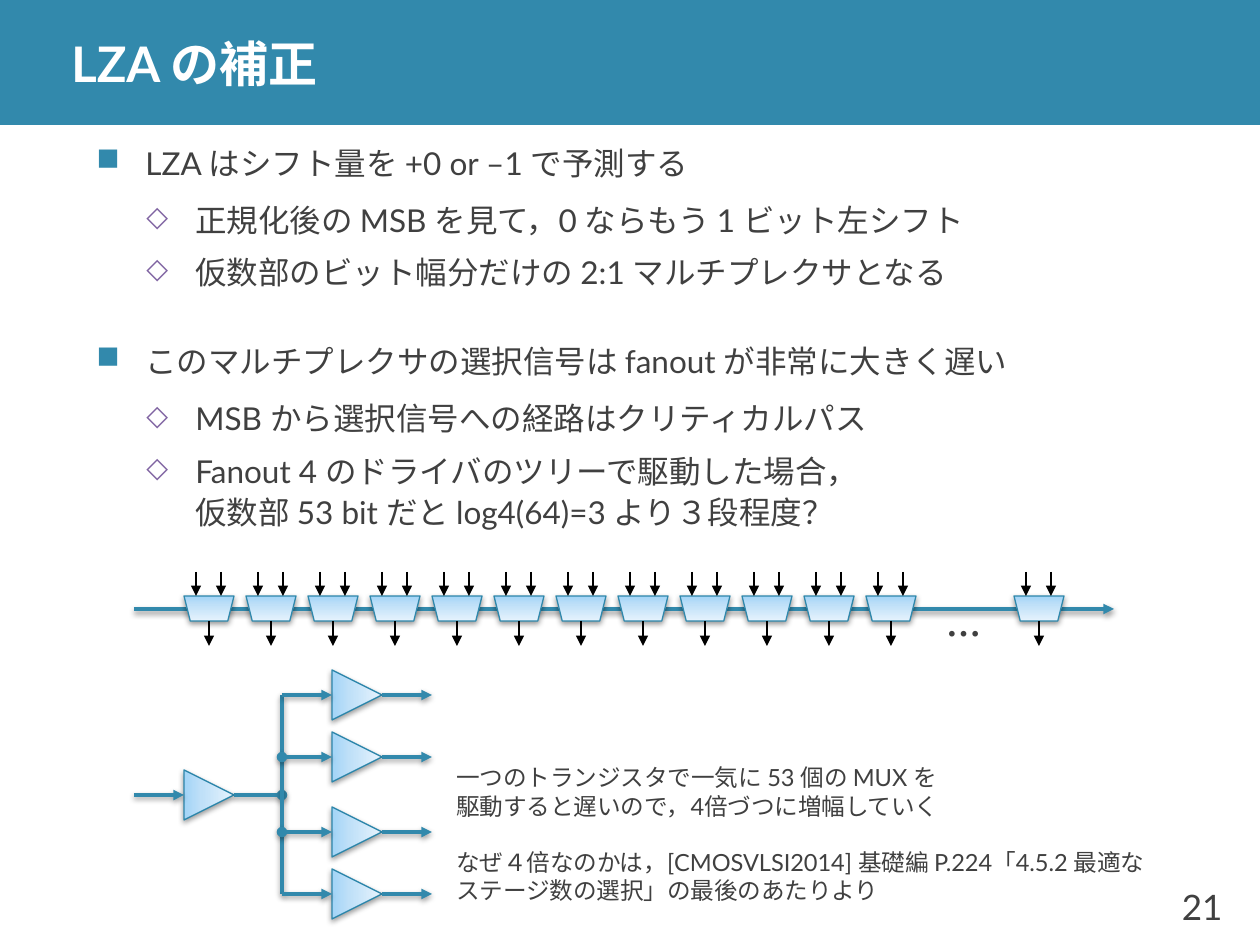
from dataclasses import dataclass

from lxml.etree import SubElement
from pptx import Presentation
from pptx.dml.color import RGBColor
from pptx.enum.shapes import MSO_CONNECTOR, MSO_SHAPE
from pptx.enum.text import MSO_ANCHOR, PP_ALIGN
from pptx.oxml.ns import qn
from pptx.shapes.base import BaseShape
from pptx.shapes.connector import Connector
from pptx.shapes.shapetree import GroupShapes, SlideShapes
from pptx.text.text import TextFrame
from pptx.util import Emu, Pt

Tree = SlideShapes | GroupShapes


@dataclass(frozen=True)
class Theme:
    main: str = "3289AC"
    edge: str = "2E87AB"
    ink: str = "404040"
    white: str = "FFFFFF"
    black: str = "000000"
    mark: str = "8064A2"
    fade: tuple = ((0, "A2D4F7"), (35, "BFE0F8"), (100, "E6F3FD"))
    latin: str = "Lato"
    asian: str = "Noto Sans CJK JP"
    title: float = 28
    page: float = 20
    body: float = 18
    note: float = 13.5
    thick: float = 2
    thin: float = 0.75


@dataclass(frozen=True)
class Box:
    x: int
    y: int
    w: int
    h: int


@dataclass(frozen=True)
class Wire:
    x1: int
    y1: int
    x2: int
    y2: int
    head: str = ""
    tail: str = ""


@dataclass(frozen=True)
class Level:
    mark: str
    color: str
    scale: int
    left: int
    before: float
    after: float


@dataclass(frozen=True)
class Item:
    level: int
    text: str


THEME = Theme()
LEVELS = (
    Level("■", THEME.main, 100, 49, 24, 6),
    Level("◇", THEME.mark, 90, 99, 3, 3),
)
ITEMS = (
    Item(0, "LZA はシフト量を +0 or –1 で予測する"),
    Item(1, "正規化後の MSB を見て，0 ならもう 1 ビット左シフト"),
    Item(1, "仮数部のビット幅分だけの 2:1 マルチプレクサとなる"),
    Item(0, "このマルチプレクサの選択信号は fanout が非常に大きく遅い"),
    Item(1, "MSB から選択信号への経路はクリティカルパス"),
    Item(1, "Fanout 4 のドライバのツリーで駆動した場合，\v"
            "仮数部 53 bit だと log4(64)=3 より３段程度？"),
)
NOTES = (
    "一つのトランジスタで一気に 53 個の MUX を\v"
    "駆動すると遅いので，4倍づつに増幅していく",
    "なぜ４倍なのかは，[CMOSVLSI2014] 基礎編 P.224"
    "「4.5.2 最適なステージ数の選択」の最後のあたりより",
)
MUXES = [184 + 62 * i for i in range(12)] + [1014]
ROWS = (695, 757, 832, 894)
ROOT = 795
TRUNK = 282
SIZE = 50


def px(n: int) -> Emu:
    return Emu(round(n * 914400 / 126))


def rgb(color: str) -> RGBColor:
    return RGBColor.from_string(color)


def shade(shape: BaseShape) -> None:
    props = shape._element.spPr
    for old in props.findall(qn("a:effectLst")):
        props.remove(old)
    cast = SubElement(
        SubElement(props, qn("a:effectLst")), qn("a:outerShdw"),
        blurRad="40000", dist="20000", dir="5400000", rotWithShape="0")
    tint = SubElement(cast, qn("a:srgbClr"), val=THEME.black)
    SubElement(tint, qn("a:alpha"), val="38000")


def gate(tree: Tree, kind: MSO_SHAPE, box: Box, turn: int) -> None:
    shape = tree.add_shape(kind, px(box.x), px(box.y), px(box.w), px(box.h))
    shape.rotation = turn
    shape.fill.gradient()
    shape.fill.gradient_angle = 90
    stops = shape._element.spPr.find(".//" + qn("a:gsLst"))
    stops.clear()
    for place, color in THEME.fade:
        stop = SubElement(stops, qn("a:gs"), pos=str(place * 1000))
        SubElement(stop, qn("a:srgbClr"), val=color)
    shape.line.color.rgb = rgb(THEME.edge)
    shape.line.width = Pt(THEME.thin)
    shade(shape)


def draw(tree: Tree, wire: Wire, color: str, width: float) -> Connector:
    line = tree.add_connector(
        MSO_CONNECTOR.STRAIGHT,
        px(wire.x1), px(wire.y1), px(wire.x2), px(wire.y2))
    line.line.color.rgb = rgb(color)
    line.line.width = Pt(width)
    props = line._element.spPr
    for tag, kind in (("a:headEnd", wire.head), ("a:tailEnd", wire.tail)):
        if kind:
            SubElement(props.find(qn("a:ln")), qn(tag), type=kind)
    SubElement(props, qn("a:effectLst"))
    return line


def bold_wire(tree: Tree, wire: Wire) -> None:
    shade(draw(tree, wire, THEME.main, THEME.thick))


def mux(tree: Tree, x: int) -> None:
    group = tree.add_group_shape().shapes
    gate(group, MSO_SHAPE.TRAPEZOID, Box(x, 596, SIZE, 25), 180)
    for dx, top, end in ((12, 572, 596), (37, 572, 596), (25, 621, 646)):
        wire = Wire(x + dx, top, x + dx, end, tail="triangle")
        draw(group, wire, THEME.black, THEME.thin)


def driver(tree: Tree, x: int, y: int) -> None:
    gate(tree, MSO_SHAPE.ISOSCELES_TRIANGLE,
         Box(x, y - SIZE // 2, SIZE, SIZE), 90)


def write(tree: Tree, box: Box, lines: list[str], size: float,
          color: str = THEME.ink, bold: bool = False,
          anchor: MSO_ANCHOR = MSO_ANCHOR.MIDDLE, wrap: bool = True,
          align: PP_ALIGN = PP_ALIGN.LEFT, latin: str = THEME.latin,
          levels: tuple[Level, ...] = ()) -> TextFrame:
    frame = tree.add_textbox(
        px(box.x), px(box.y), px(box.w), px(box.h)).text_frame
    frame.word_wrap = wrap
    frame.vertical_anchor = anchor
    for i, text in enumerate(lines):
        para = frame.add_paragraph() if i else frame.paragraphs[0]
        para.text = text
        para.alignment = align
        if levels:
            level = levels[i]
            props = para._p.get_or_add_pPr()
            props.set("marL", str(px(level.left)))
            props.set("indent", str(-px(49)))
            tint = SubElement(props, qn("a:buClr"))
            SubElement(tint, qn("a:srgbClr"), val=level.color)
            SubElement(props, qn("a:buSzPct"), val=str(level.scale * 1000))
            SubElement(props, qn("a:buChar"), char=level.mark)
            para.level = LEVELS.index(level)
            para.line_spacing = 1.1
            para.space_before = Pt(level.before if i else 0)
            para.space_after = Pt(level.after)
        font = para.font
        font.size, font.bold, font.name = Pt(size), bold, latin
        font.color.rgb = rgb(color)
        SubElement(para._p.pPr.find(qn("a:defRPr")), qn("a:ea"),
                   typeface=THEME.asian)
    return frame


def main() -> None:
    deck = Presentation()
    deck.slide_width, deck.slide_height = px(1260), px(945)
    tree = deck.slides.add_slide(deck.slide_layouts[6]).shapes

    band = tree.add_shape(MSO_SHAPE.RECTANGLE, 0, 0, px(1260), px(125))
    band.shadow.inherit = False
    band.fill.solid()
    band.fill.fore_color.rgb = rgb(THEME.main)
    band.line.fill.background()
    title = write(tree, Box(59, 0, 1201, 125), ["LZA の補正"],
                  THEME.title, THEME.white, bold=True)
    title.margin_top = title.margin_bottom = 0
    write(tree, Box(1150, 869, 85, 76), ["21"], THEME.page,
          wrap=False, align=PP_ALIGN.RIGHT)
    write(tree, Box(84, 199, 1142, 273), [item.text for item in ITEMS],
          THEME.body, levels=tuple(LEVELS[item.level] for item in ITEMS))

    bold_wire(tree, Wire(134, 609, 1114, 609, tail="triangle"))
    for x in MUXES:
        mux(tree, x)
    write(tree, Box(915, 609, 99, 49), ["…"], THEME.page, bold=True,
          wrap=False, align=PP_ALIGN.CENTER, latin=THEME.asian)

    driver(tree, 184, ROOT)
    bold_wire(tree, Wire(134, ROOT, 184, ROOT, tail="triangle"))
    bold_wire(tree, Wire(234, ROOT, TRUNK, ROOT, tail="oval"))
    bold_wire(tree, Wire(TRUNK, ROWS[-1], TRUNK, ROWS[0]))
    for y in ROWS:
        driver(tree, 332, y)
        dot = "oval" if y in ROWS[1:-1] else ""
        bold_wire(tree, Wire(TRUNK, y, 332, y, dot, "triangle"))
        bold_wire(tree, Wire(382, y, 432, y, tail="triangle"))

    notes = write(tree, Box(444, 757, 719, 156), list(NOTES), THEME.note,
                  anchor=MSO_ANCHOR.TOP)
    notes.paragraphs[1].space_before = Pt(16)
    deck.save("out.pptx")


if __name__ == "__main__":
    main()
